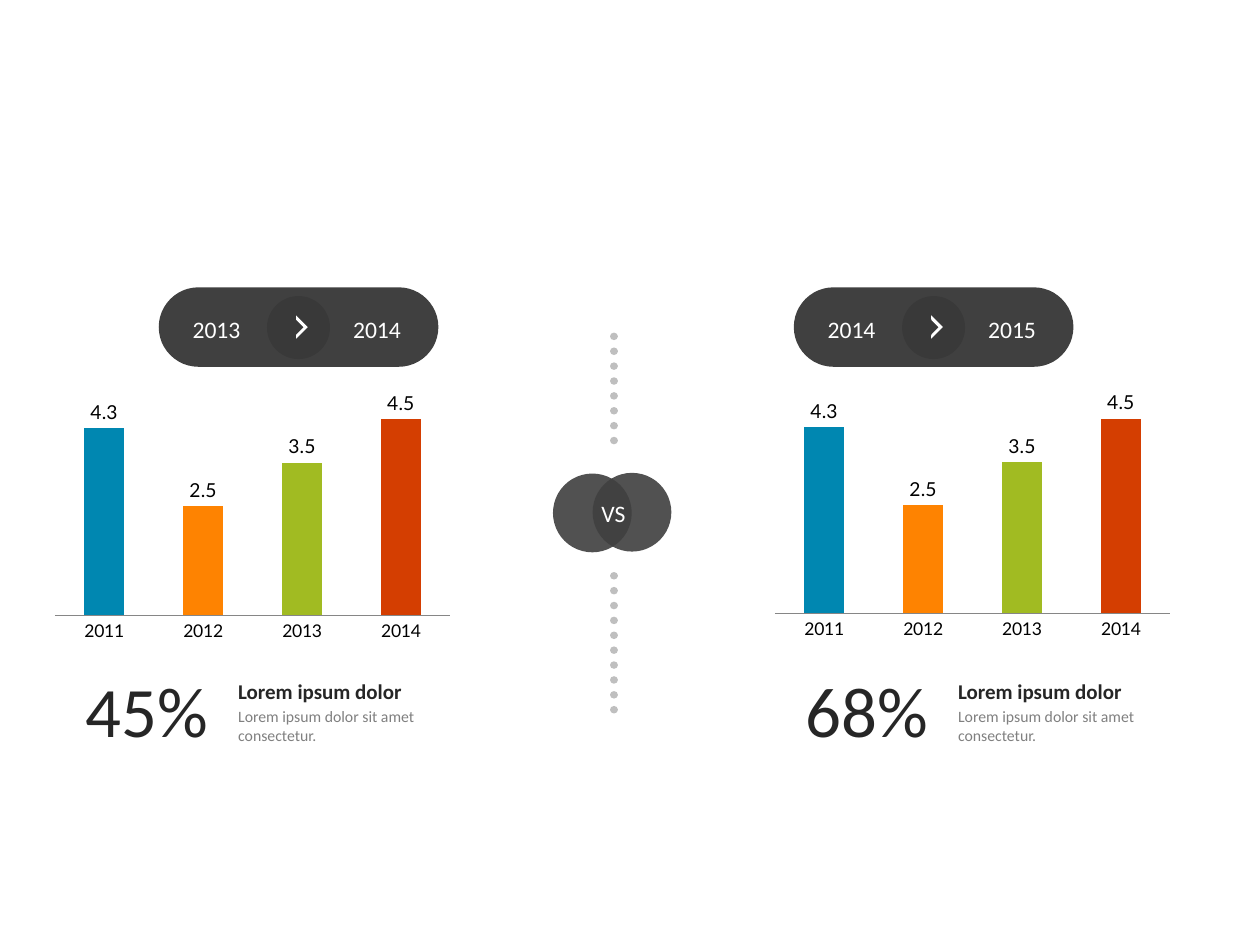
import pptx
import pptx.chart.data
import pptx.dml.color
import pptx.enum.chart
import pptx.enum.dml
import pptx.enum.shapes
import pptx.enum.text
import pptx.oxml
import pptx.oxml.ns
import pptx.util

Pt = pptx.util.Pt
RGBColor = pptx.dml.color.RGBColor
SHAPE = pptx.enum.shapes.MSO_SHAPE
ALIGN = pptx.enum.text.PP_ALIGN
qn = pptx.oxml.ns.qn

BLACK = RGBColor(0x00, 0x00, 0x00)
WHITE = RGBColor(0xFF, 0xFF, 0xFF)
CHARCOAL = RGBColor(0x40, 0x40, 0x40)
INK = RGBColor(0x26, 0x26, 0x26)
GREY = RGBColor(0x80, 0x80, 0x80)
AXIS_GREY = RGBColor(0x86, 0x86, 0x86)
DOT_GREY = RGBColor(0xBF, 0xBF, 0xBF)
BAR_COLORS = [RGBColor(0x00, 0x87, 0xB1), RGBColor(0xFE, 0x83, 0x01),
              RGBColor(0xA1, 0xBB, 0x22), RGBColor(0xD4, 0x3E, 0x01)]

# Content: one entry for each side of the comparison, lengths in points
CATEGORIES = ["2011", "2012", "2013", "2014"]
VALUES = [4.3, 2.5, 3.5, 4.5]
HEADING = "Lorem ipsum dolor"
DETAIL = "Lorem ipsum dolor sit amet consectetur."
PANELS = [
    dict(left=26, chart_height=155, pill_left=90.7, years=("2013", "2014"), percent="45%"),
    dict(left=437.4, chart_height=153.7, pill_left=453.6, years=("2014", "2015"), percent="68%"),
]
CENTER = 350.8
DOTTED_LINES = [(192.2, 259.9), (329, 412.6)]
CIRCLES = [(316, 270.6, 180), (338.6, 270.2, 97.2)]
PLOT = dict(x=0.022, y=0.086, w=0.932, h=0.804)


def add_text(shapes, box, text, size, color, bold=False, wrap=True, align=ALIGN.LEFT):
    frame = shapes.add_textbox(*map(Pt, box)).text_frame
    frame.word_wrap = wrap
    frame.auto_size = pptx.enum.text.MSO_AUTO_SIZE.SHAPE_TO_FIT_TEXT
    paragraph = frame.paragraphs[0]
    paragraph.alignment = align
    run = paragraph.add_run()
    run.text = text
    run.font.name = "Calibri"
    run.font.size = Pt(size)
    run.font.bold = bold
    run.font.color.rgb = color


def add_filled(shapes, kind, box, color, opacity=100, rotation=0, adjustments=()):
    shape = shapes.add_shape(kind, *map(Pt, box))
    shape.shadow.inherit = False
    shape.line.fill.background()
    shape.fill.solid()
    shape.fill.fore_color.rgb = color
    shape.rotation = rotation
    for index, value in enumerate(adjustments):
        shape.adjustments[index] = value
    if opacity < 100:
        color_element = shape._element.spPr.find(qn("a:solidFill"))[0]
        color_element.append(pptx.oxml.parse_xml(
            f'<a:alpha {pptx.oxml.ns.nsdecls("a")} val="{opacity * 1000}"/>'))


def set_font(font, name, size):
    font.name = name
    font.size = Pt(size)
    font.color.rgb = BLACK


def add_bar_chart(slide, left, height):
    data = pptx.chart.data.CategoryChartData()
    data.categories = CATEGORIES
    data.add_series("Series 1", VALUES)
    chart = slide.shapes.add_chart(
        pptx.enum.chart.XL_CHART_TYPE.COLUMN_CLUSTERED,
        Pt(left), Pt(213.8), Pt(242.6), Pt(height), data).chart
    chart.has_legend = False
    chart.has_title = False
    set_font(chart.font, "Calibri", 18)

    # Axes
    category_axis = chart.category_axis
    category_axis.major_tick_mark = pptx.enum.chart.XL_TICK_MARK.NONE
    category_axis.format.line.color.rgb = AXIS_GREY
    category_axis.format.line.width = Pt(0.75)
    set_font(category_axis.tick_labels.font, "Lato", 10)
    value_axis = chart.value_axis
    value_axis.minimum_scale = 0
    value_axis.maximum_scale = 5
    value_axis.has_major_gridlines = False
    value_axis.visible = False

    # Bars and labels
    plot = chart.plots[0]
    plot.gap_width = 150
    plot.overlap = -25
    plot.vary_by_categories = False
    for index, color in enumerate(BAR_COLORS):
        fill = plot.series[0].points[index].format.fill
        fill.solid()
        fill.fore_color.rgb = color
    labels = plot.series[0].data_labels
    labels.show_value = True
    labels.position = pptx.enum.chart.XL_LABEL_POSITION.OUTSIDE_END
    set_font(labels.font, "Lato", 11)

    # Fixed inner plot area
    plot_area = chart._chartSpace.chart.plotArea
    for layout in plot_area.findall(qn("c:layout")):
        plot_area.remove(layout)
    modes = "".join(f'<c:{key}Mode val="edge"/>' for key in "xy")
    places = "".join(f'<c:{key} val="{value}"/>' for key, value in PLOT.items())
    plot_area.insert(0, pptx.oxml.parse_xml(
        f'<c:layout {pptx.oxml.ns.nsdecls("c")}><c:manualLayout>'
        f'<c:layoutTarget val="inner"/>{modes}{places}</c:manualLayout></c:layout>'))


def add_summary(slide, left, percent):
    shapes = slide.shapes.add_group_shape().shapes
    add_text(shapes, (left + 16, 377.3, 115.2, 56.2), percent, 40.5, INK)
    add_text(shapes, (left + 103, 384.5, 109.4, 21.6), HEADING, 12, INK, bold=True, wrap=False)
    add_text(shapes, (left + 103, 400.3, 143.3, 28.8), DETAIL, 9, GREY)


def add_year_pill(slide, left, years):
    shapes = slide.shapes.add_group_shape().shapes
    add_filled(shapes, SHAPE.ROUNDED_RECTANGLE, (left, 164.2, 159.8, 45.4), CHARCOAL,
               adjustments=[0.5])
    add_filled(shapes, SHAPE.OVAL, (left + 61.9, 169.2, 36, 36), INK, opacity=26)
    add_filled(shapes, SHAPE.HALF_FRAME, (left + 73.8, 182.2, 9.4, 9.4), WHITE,
               rotation=135, adjustments=[0.171, 0.189])
    for offset, year in zip((12.3, 104), years):
        add_text(shapes, (left + offset, 176.4, 49, 23.8), year, 13.5, WHITE)


presentation = pptx.Presentation()
presentation.slide_width = Pt(720)
presentation.slide_height = Pt(540)
slide = presentation.slides.add_slide(presentation.slide_layouts[6])

# Charts with their summaries
for panel in PANELS:
    add_bar_chart(slide, panel["left"], panel["chart_height"])
    add_summary(slide, panel["left"], panel["percent"])

# Versus badge
badge = slide.shapes.add_group_shape().shapes
for left, top, rotation in CIRCLES:
    add_filled(badge, SHAPE.OVAL, (left, top, 45, 45), CHARCOAL, opacity=91, rotation=rotation)
add_text(badge, (329.3, 281.8, 42.5, 23.8), "VS", 13.5, WHITE, align=ALIGN.CENTER)

# Dotted divider
for top, bottom in DOTTED_LINES:
    divider = slide.shapes.add_connector(
        pptx.enum.shapes.MSO_CONNECTOR.STRAIGHT, Pt(CENTER), Pt(top), Pt(CENTER), Pt(bottom))
    divider.line.color.rgb = DOT_GREY
    divider.line.width = Pt(4.25)
    divider.line.dash_style = pptx.enum.dml.MSO_LINE.ROUND_DOT
    properties = divider._element.spPr
    properties.find(qn("a:ln")).set("cap", "rnd")
    properties.append(pptx.oxml.parse_xml(f'<a:effectLst {pptx.oxml.ns.nsdecls("a")}/>'))

# Year pills
for panel in PANELS:
    add_year_pill(slide, panel["pill_left"], panel["years"])

presentation.save("out.pptx")
